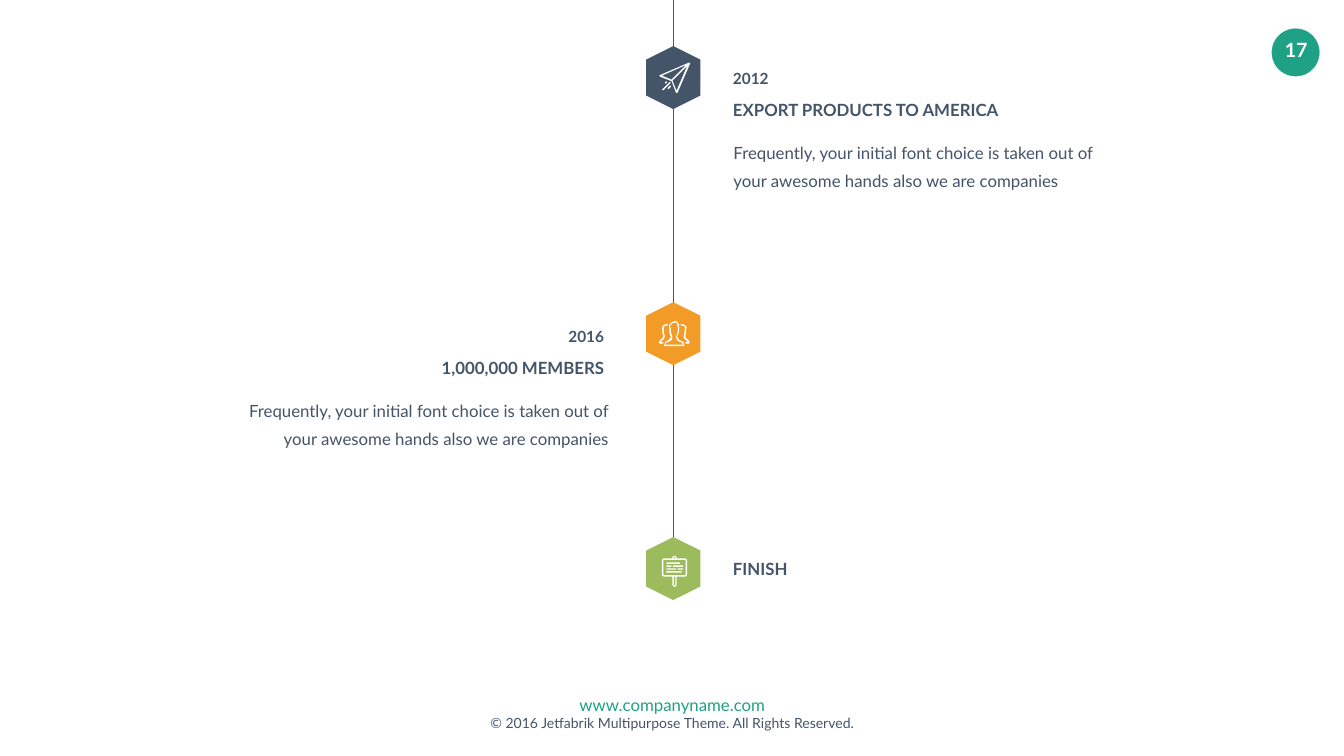
from pptx import Presentation
from pptx.dml.color import RGBColor
from pptx.enum.shapes import MSO_CONNECTOR, MSO_SHAPE
from pptx.enum.text import MSO_ANCHOR, MSO_AUTO_SIZE, PP_ALIGN
from pptx.oxml.ns import qn
from pptx.util import Pt
from lxml import etree

PX = 9144  # EMU per px, 100 px to the inch
LEFT, CENTER, RIGHT = PP_ALIGN.LEFT, PP_ALIGN.CENTER, PP_ALIGN.RIGHT
TOP, MIDDLE = MSO_ANCHOR.TOP, MSO_ANCHOR.MIDDLE
FIT = MSO_AUTO_SIZE.SHAPE_TO_FIT_TEXT
WHITE = RGBColor(0xFF, 0xFF, 0xFF)
SLATE = RGBColor(0x44, 0x54, 0x69)
TEAL = RGBColor(0x1E, 0xA1, 0x85)
ORANGE = RGBColor(0xF2, 0x9B, 0x26)
GREEN = RGBColor(0x9B, 0xBB, 0x5C)


def box(x0, y0, x1, y1):
    return [(x0, y0), (x1, y0), (x1, y1), (x0, y1)]


# Icon outlines, in px from the icon's top left corner; inner outlines are holes
PLANE = [
    [(59, 0), (1, 25), (0, 26), (1, 28), (24, 37), (33, 60), (34, 61), (36, 60),
     (61, 2), (61, 1)],
    [(34, 56), (26, 36), (55, 7)],
    [(5, 26), (53, 5), (24, 34)],
    [(22, 46), (21, 46), (17, 50), (16, 51), (18, 53), (19, 52), (23, 48), (23, 47)],
    [(22, 40), (21, 39), (20, 39), (6, 53), (5, 54), (7, 55), (8, 55), (22, 41)],
    [(13, 41), (15, 40), (15, 39), (14, 37), (13, 38), (11, 39), (11, 40), (12, 42)],
]
MEMBER = [
    (55, 35), (52, 30), (54, 24), (54, 20), (55, 12), (50, 7), (46, 6), (43, 6),
    (44, 9), (49, 9), (52, 13), (51, 18), (51, 23), (49, 30), (51, 36), (54, 38),
    (58, 42), (52, 42), (53, 45), (60, 45), (61, 43), (59, 38)]
PEOPLE = [
    [(41, 38), (36, 32), (39, 24), (40, 18), (40, 7), (36, 1), (32, 0), (26, 2),
     (20, 8), (21, 18), (21, 24), (24, 32), (19, 38), (13, 41), (10, 49), (11, 50),
     (50, 50), (51, 49), (48, 41)],
    [(12, 47), (14, 43), (20, 41), (25, 38), (27, 32), (24, 23), (24, 17), (22, 9),
     (27, 4), (32, 3), (35, 3), (37, 8), (38, 17), (37, 23), (34, 32), (36, 38),
     (41, 41), (46, 43), (48, 47)],
    MEMBER,
    [(61 - x, y) for x, y in MEMBER],
]
SIGN = [
    [(3, 5), (21, 5), (21, 2), (24, 0), (27, 0), (29, 2), (29, 5), (47, 5), (50, 8),
     (50, 38), (47, 41), (29, 41), (29, 58), (27, 61), (24, 61), (21, 58), (21, 41),
     (3, 41), (0, 38), (0, 8)],
    box(3, 8, 47, 38), box(24, 41, 27, 58), box(24, 2, 27, 5),
    box(9, 13, 36, 16), box(9, 19, 19, 22), box(22, 19, 42, 22),
    box(9, 25, 28, 27), box(31, 25, 42, 27), box(9, 30, 39, 33),
]

# Content
BODY = ("Frequently, your initial font choice is taken out of "
        "your awesome hands also we are companies")
YEAR = dict(size=22, bold=True, height=47, anchor=MIDDLE)
HEAD = dict(size=24, bold=True, height=50, anchor=MIDDLE)
PARA = dict(size=24, height=136, inset=(24, 12), wrap=True, spacing=40.4)
# hexagon top, colour, icon, icon position, text side, text top,
# texts as (offset from text top, width, wording, style)
MILESTONES = [
    (100, SLATE, PLANE, (1308, 124), LEFT, 131,
     [(0, 92, "2012", YEAR), (61, 565, "EXPORT PRODUCTS TO AMERICA", HEAD),
      (124, 776, BODY, PARA)]),
    (608, ORANGE, PEOPLE, (1307, 637), RIGHT, 643,
     [(0, 92, "2016", YEAR), (61, 352, "1,000,000 MEMBERS", HEAD),
      (124, 776, BODY, PARA)]),
    (1074, GREEN, SIGN, (1313, 1103), LEFT, 1103,
     [(0, 131, "FINISH", HEAD)]),
]
# Edge of headings and of body text next to the axis, by alignment
EDGES = {LEFT: (1444, 1431), RIGHT: (1208, 1231)}
AXIS_X, AXIS_END = 1335, 1128
FOOTER = [("www.companyname.com", 24, TEAL),
          ("© 2016 Jetfabrik Multipurpose Theme. All Rights Reserved.", 20, SLATE)]

prs = Presentation()
prs.slide_width, prs.slide_height = 2666 * PX, 1500 * PX
slide = prs.slides.add_slide(prs.slide_layouts[6])
shapes = slide.shapes


def add_text(x, y, w, h, lines, align, bold=False, anchor=TOP, inset=(10, 5),
             wrap=False, spacing=None):
    """Add a text box; lines holds (wording, size, colour) per paragraph."""
    tf = shapes.add_textbox(x * PX, y * PX, w * PX, h * PX).text_frame
    dx, dy = (v * PX for v in inset)
    frame = dict(word_wrap=wrap, auto_size=FIT, vertical_anchor=anchor,
                 margin_left=dx, margin_right=dx, margin_top=dy, margin_bottom=dy)
    for name, value in frame.items():
        setattr(tf, name, value)
    for i, (wording, size, color) in enumerate(lines):
        p = tf.add_paragraph() if i else tf.paragraphs[0]
        p.alignment = align
        if spacing:
            p.line_spacing = Pt(spacing)
        r = p.add_run()
        r.text = wording
        for name, value in dict(name="Lato", size=Pt(size), bold=bold).items():
            setattr(r.font, name, value)
        r.font.color.rgb = color


def paint(sp, color):
    sp.shadow.inherit = False
    sp.fill.solid()
    sp.fill.fore_color.rgb = color
    sp.line.fill.background()


def add_shape(kind, x, y, w, h, color):
    sp = shapes.add_shape(kind, x * PX, y * PX, w * PX, h * PX)
    paint(sp, color)
    return sp


def add_icon(outlines, x, y):
    fb = shapes.build_freeform(*outlines[0][0], scale=PX)
    for i, points in enumerate(outlines):
        if i:
            fb.move_to(*points[0])
        fb.add_line_segments(points[1:], close=True)
    paint(fb.convert_to_shape(x * PX, y * PX), WHITE)


# Footer and page number
add_text(852, 1368, 963, 94, FOOTER, CENTER, inset=(20, 10), wrap=True)
badge = add_shape(MSO_SHAPE.OVAL, 2523, 57, 94, 94, TEAL)
badge.line.color.rgb = TEAL
badge.line.width = Pt(0.5)
add_text(2527, 66, 88, 67, [("17", 28, WHITE)], CENTER, bold=True, inset=(20, 10))

# Timeline axis
axis = shapes.add_connector(MSO_CONNECTOR.STRAIGHT, AXIS_X * PX, 0,
                            AXIS_X * PX, AXIS_END * PX)
axis.line.color.rgb = SLATE
axis.line.width = Pt(0.5)
etree.SubElement(axis._element.spPr, qn("a:effectLst"))

# Milestones
for hex_top, color, icon, icon_at, align, text_top, texts in MILESTONES:
    add_shape(MSO_SHAPE.HEXAGON, 1273, hex_top, 125, 108, color).rotation = 90
    add_icon(icon, *icon_at)
    for offset, width, wording, style in texts:
        style = dict(style)
        size, height = style.pop("size"), style.pop("height")
        edge = EDGES[align][style.get("wrap", False)]
        x = edge if align == LEFT else edge - width
        add_text(x, text_top + offset, width, height, [(wording, size, SLATE)],
                 align, **style)

prs.save("out.pptx")
